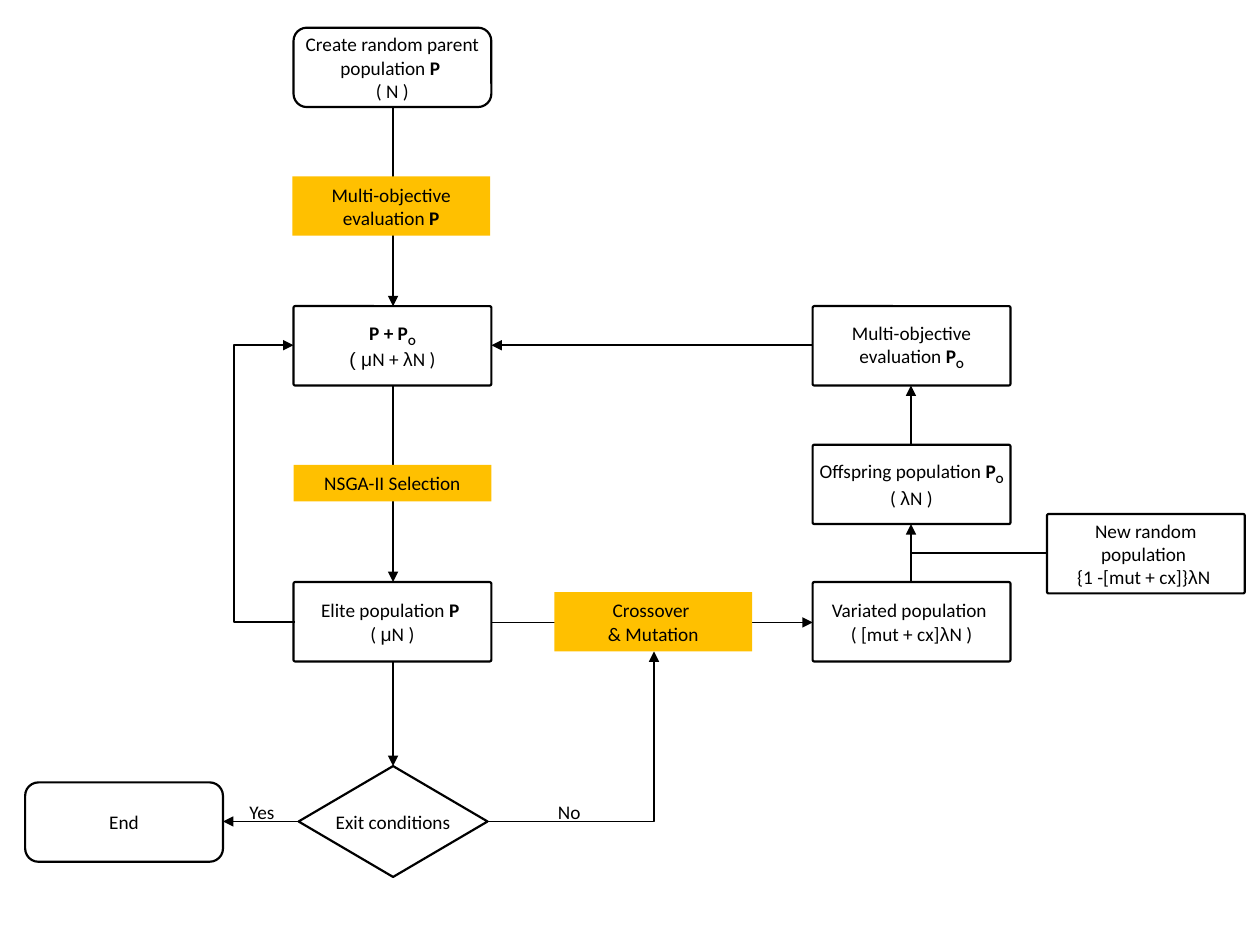
from lxml.etree import SubElement
from pptx import Presentation
from pptx.dml.color import RGBColor
from pptx.enum.shapes import MSO_CONNECTOR, MSO_SHAPE
from pptx.enum.text import MSO_ANCHOR, PP_ALIGN
from pptx.oxml.ns import qn
from pptx.util import Inches, Pt

BLACK = RGBColor(0x00, 0x00, 0x00)
AMBER = RGBColor(0xFF, 0xC0, 0x00)
BOX_W, BOX_H = 1.57, 0.63
LEFT_X, RIGHT_X = 2.33, 6.45
LEFT_MID, RIGHT_MID = 3.12, 7.23
POOL_Y, ELITE_Y, EXIT_Y = 2.74, 4.94, 6.52
ROUND, SHARP = 0.167, 0.021

P, P_END = ("P", "bold"), ("P ", "bold")
SUB_O = ("O", "sub")
MU, LAMBDA = ("μ", "greek"), ("λ", "greek")

prs = Presentation()
prs.slide_width, prs.slide_height = Inches(10), Inches(7.5)
shapes = prs.slides.add_slide(prs.slide_layouts[6]).shapes


def write(frame, paragraphs, align=PP_ALIGN.CENTER, spacing=None):
    for index, runs in enumerate(paragraphs):
        paragraph = frame.paragraphs[0] if index == 0 else frame.add_paragraph()
        paragraph.alignment = align
        paragraph.line_spacing = spacing
        paragraph.font.size = Pt(11)
        paragraph.font.name = "Calibri"
        paragraph.font.color.rgb = BLACK
        for piece in runs:
            text, kind = (piece, "") if isinstance(piece, str) else piece
            run = paragraph.add_run()
            run.text = text
            if kind in ("bold", "sub"):
                run.font.bold = True
            if kind == "sub":
                run.font._element.set("baseline", "-25000")
            if kind == "greek":
                run.font.name = "Arial"


def connect(kind, start, end, arrow=True):
    line = shapes.add_connector(kind, *(Inches(v) for v in (*start, *end)))
    line.line.color.rgb = BLACK
    line.line.width = Pt(1)
    if arrow:
        SubElement(line.line._get_or_add_ln(), qn("a:tailEnd"), type="triangle")
    SubElement(line._element.spPr, qn("a:effectLst"))
    return line


outlined = [
    (LEFT_X, 0.22, ROUND, [["Create random parent population ", P_END], ["( N )"]]),
    (LEFT_X, 2.43, SHARP, [[("P + P", "bold"), SUB_O],
                           [("( μ", "greek"), "N + ", LAMBDA, "N )"]]),
    (RIGHT_X, 2.43, SHARP, [["Multi-objective evaluation ", P, SUB_O]]),
    (LEFT_X, 4.62, SHARP, [["Elite population ", P_END], ["( ", MU, "N )"]]),
    (RIGHT_X, 4.62, SHARP, [["Variated population "], ["( [mut + cx]", LAMBDA, "N )"]]),
    (RIGHT_X, 3.53, SHARP, [["Offspring population ", P, SUB_O, " ( ", LAMBDA, "N )"]]),
    (8.31, 4.08, SHARP, [["New random population "],
                         ["{1 -[mut + cx]}", LAMBDA, "N "]]),
    (0.2, 6.21, ROUND, [["End"]]),
    (2.37, 6.08, None, [["Exit conditions"]]),
]
for x, y, corner, paragraphs in outlined:
    if corner is None:
        step = shapes.add_shape(MSO_SHAPE.DIAMOND, Inches(x), Inches(y),
                                Inches(1.5), Inches(0.88))
    else:
        step = shapes.add_shape(MSO_SHAPE.ROUNDED_RECTANGLE, Inches(x), Inches(y),
                                Inches(BOX_W), Inches(BOX_H))
        step.adjustments[0] = corner
    step.shadow.inherit = False
    step.fill.background()
    step.line.color.rgb = BLACK
    step.line.width = Pt(1.25)
    frame = step.text_frame
    frame.word_wrap = corner is not None
    frame.vertical_anchor = MSO_ANCHOR.MIDDLE
    frame.margin_left = frame.margin_right = Inches(0.04)
    frame.margin_top = frame.margin_bottom = 0
    write(frame, paragraphs)

for answer, x, width in (("No", 4.33, 0.38), ("Yes", 1.88, 0.41)):
    label = shapes.add_textbox(Inches(x), Inches(6.21), Inches(width), Inches(0.38))
    label.text_frame.word_wrap = False
    write(label.text_frame, [[answer]], PP_ALIGN.LEFT, 1.5)

straight = [
    ((3.9, ELITE_Y), (RIGHT_X, ELITE_Y), True),
    ((LEFT_MID, 5.25), (LEFT_MID, 6.08), True),
    ((RIGHT_MID, 4.62), (RIGHT_MID, 4.16), True),
    ((8.31, 4.39), (RIGHT_MID, 4.39), False),
    ((RIGHT_MID, 3.53), (RIGHT_MID, 3.06), True),
    ((RIGHT_X, POOL_Y), (3.9, POOL_Y), True),
    ((LEFT_MID, 3.06), (LEFT_MID, 4.62), True),
    ((LEFT_MID, 0.85), (LEFT_MID, 2.43), True),
    ((2.37, EXIT_Y), (1.77, EXIT_Y), True),
]
for start, end, arrow in straight:
    connect(MSO_CONNECTOR.STRAIGHT, start, end, arrow)

elite_loop = connect(MSO_CONNECTOR.ELBOW, (2.34, ELITE_Y), (2.33, POOL_Y))
SubElement(elite_loop._element.spPr.prstGeom.get_or_add_avLst(), qn("a:gd"),
           name="adj1", fmla="val 4900000")
retry = connect(MSO_CONNECTOR.ELBOW, (3.87, EXIT_Y), (5.19, 5.17))
retry._element.spPr.prstGeom.set("prst", "bentConnector2")

operators = [
    (2.32, 1.4, 0.47, [["Multi-objective evaluation", (" P", "bold")]]),
    (LEFT_X, 3.69, 0.29, [["NSGA-II Selection"]]),
    (4.4, 4.7, 0.47, [["Crossover "], ["& Mutation"]]),
]
for x, y, height, paragraphs in operators:
    operator = shapes.add_shape(MSO_SHAPE.RECTANGLE, Inches(x), Inches(y),
                                Inches(BOX_W), Inches(height))
    operator.shadow.inherit = False
    operator.fill.solid()
    operator.fill.fore_color.rgb = AMBER
    operator.line.fill.background()
    operator.text_frame.word_wrap = True
    operator.text_frame.vertical_anchor = MSO_ANCHOR.MIDDLE
    write(operator.text_frame, paragraphs)

prs.save("out.pptx")
